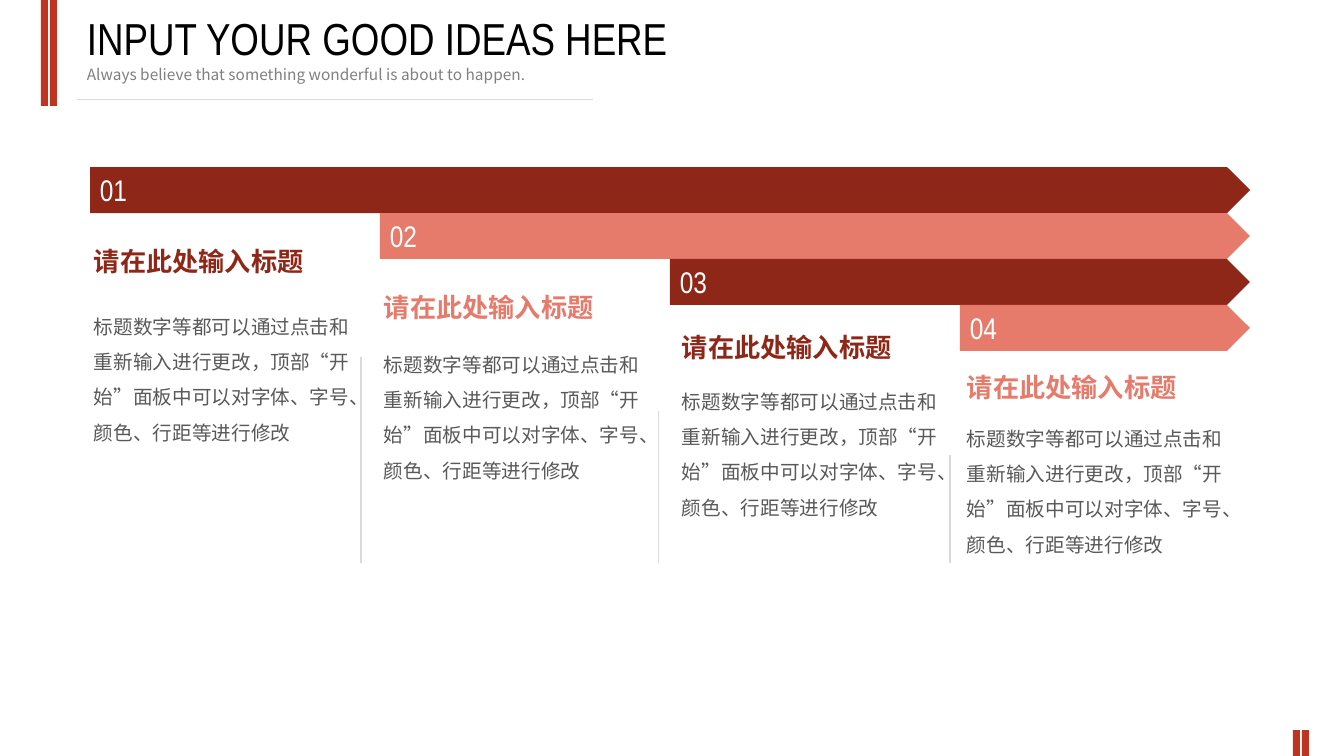
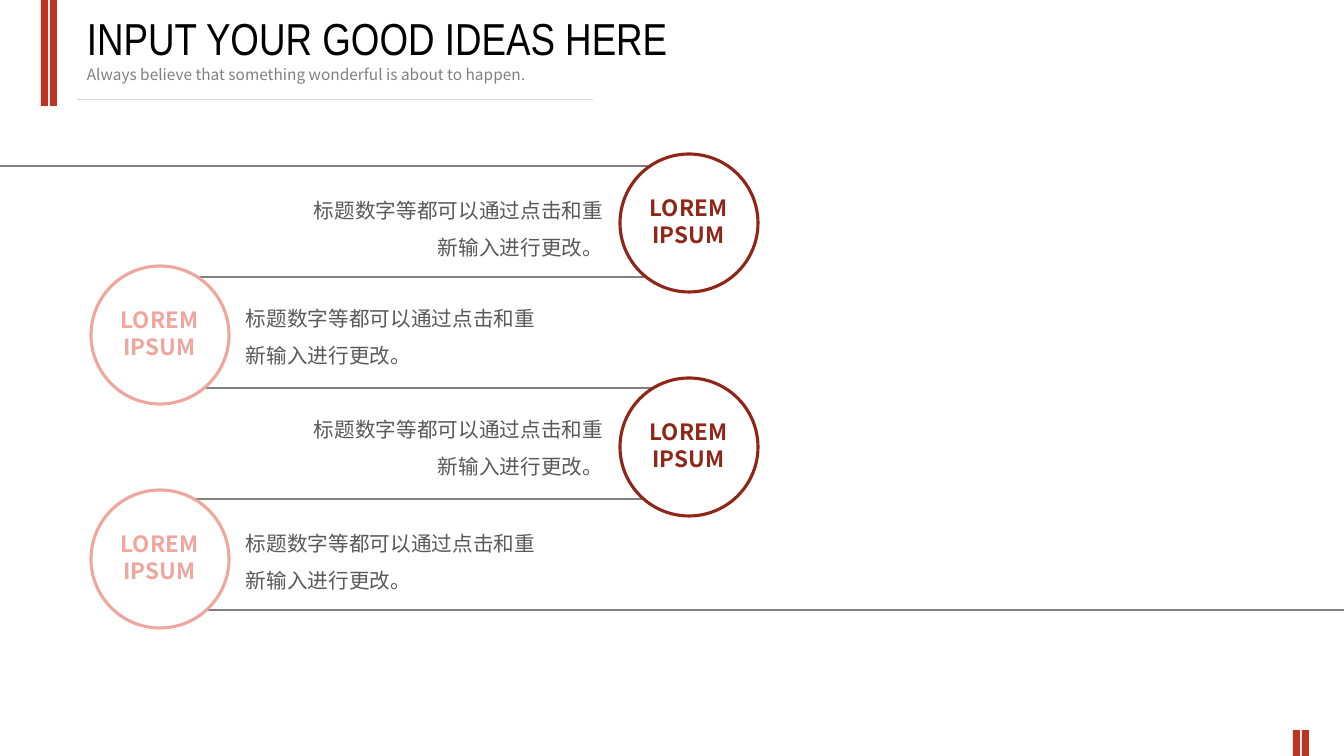
"""Build two slides: four stepped arrows and four staggered circles."""
import pptx
import pptx.dml.color
import pptx.enum.shapes
import pptx.enum.text
import pptx.oxml.ns
import pptx.util
from lxml import etree

PX = 12192000 // 1344
WIDTH, HEIGHT = 1344, 756
COLORS = {
    "band": "BF3420", "dark": "8F2718", "coral": "E67B6C", "pink": "EFA79D",
    "hairline": "D9D9D9", "gray": "808080", "body": "595959",
    "title": "000000", "white": "FFFFFF",
}
SANS, NARROW = "Noto Sans CJK SC", "Arial Narrow"
SHAPE = pptx.enum.shapes.MSO_SHAPE
ALIGN = pptx.enum.text.PP_ALIGN
ANCHOR = pptx.enum.text.MSO_ANCHOR
RGB = pptx.dml.color.RGBColor.from_string
qn = pptx.oxml.ns.qn


def place(slide, kind, box, fill=None, line=None):
    """Add a preset shape, or a text box when kind is None."""
    bounds = [PX * length for length in box]
    if kind is None:
        return slide.shapes.add_textbox(*bounds)
    shape = slide.shapes.add_shape(kind, *bounds)
    shape.shadow.inherit = False
    shape.fill.solid()
    shape.fill.fore_color.rgb = RGB(COLORS[fill])
    if line:
        shape.line.color.rgb = RGB(COLORS[line])
        shape.line.width = pptx.util.Pt(2.25)
    else:
        shape.line.fill.background()
    return shape


def write(shape, lines, size, color, font=SANS, bold=False,
          align=ALIGN.LEFT, spacing=None, anchor=ANCHOR.TOP):
    """Fill a shape with one paragraph per line."""
    frame = shape.text_frame
    frame.word_wrap = True
    frame.vertical_anchor = anchor
    for index, line in enumerate(lines):
        paragraph = frame.add_paragraph() if index else frame.paragraphs[0]
        paragraph.alignment = align
        paragraph.line_spacing = spacing
        run = paragraph.add_run()
        run.text = line
        run.font.size = pptx.util.Pt(size)
        run.font.name = font
        run.font.bold = bold
        run.font.color.rgb = RGB(COLORS[color])
        etree.SubElement(run.font._element, qn("a:ea"), typeface=SANS)


deck = pptx.Presentation()
deck.slide_width, deck.slide_height = WIDTH * PX, HEIGHT * PX
arrows_slide, circles_slide = [
    deck.slides.add_slide(deck.slide_layouts[6]) for _ in range(2)]

column_rules = [("hairline", 0.75, x, top, x, 563)
                for x, top in [(361, 357), (659, 411), (950, 455)]]
row_ends = [(0, 686), (161, 686), (161, 686), (161, 686), (161, WIDTH)]
row_rules = [("gray", 1.5, left, 166 + 111 * row, right, 166 + 111 * row)
             for row, (left, right) in enumerate(row_ends)]
header_rule = ("hairline", 0.75, 77, 100, 593, 100)

for slide, rules in [(arrows_slide, column_rules), (circles_slide, row_rules)]:
    for band in [(41, 0, 7, 106), (50, 0, 7, 106),
                 (1293, 730, 7, 26), (1302, 730, 7, 26)]:
        place(slide, SHAPE.RECTANGLE, band, "band")
    for color, weight, *ends in [header_rule, *rules]:
        rule = slide.shapes.add_connector(
            pptx.enum.shapes.MSO_CONNECTOR.STRAIGHT, *[PX * end for end in ends])
        rule.line.color.rgb = RGB(COLORS[color])
        rule.line.width = pptx.util.Pt(weight)
        etree.SubElement(rule._element.spPr, qn("a:effectLst"))
    write(place(slide, None, (77, 60, 712, 29)),
          ["Always believe that something wonderful is about to happen."],
          11, "gray")
    write(place(slide, None, (77, 6, 874, 65)),
          ["INPUT YOUR GOOD IDEAS HERE"], 32, "title", NARROW)

STEP_TEXT = ("标题数字等都可以通过点击和重新输入进行更改，顶部“开始”面板中"
             "可以对字体、字号、颜色、行距等进行修改")
steps = [(84, 240, 298), (374, 286, 336), (672, 326, 373), (957, 366, 410)]
for index, (left, heading_top, text_top) in enumerate(steps):
    color = ("dark", "coral")[index % 2]
    arrow = place(arrows_slide, SHAPE.PENTAGON,
                  (90 + 290 * index, 167 + 46 * index, 1160 - 290 * index, 46),
                  color)
    write(arrow, [f"{index + 1:02}"], 21.3, "white", NARROW,
          anchor=ANCHOR.MIDDLE)
    write(place(arrows_slide, None, (left, text_top, 278, 148)),
          [STEP_TEXT], 14, "body", spacing=1.5)
    write(place(arrows_slide, None, (left, heading_top, 278, 42)),
          ["请在此处输入标题"], 18.7, color, "Arial", bold=True)

sides = [("dark", 620, 290, ALIGN.RIGHT), ("pink", 91, 236, ALIGN.LEFT)]
for index, text_top in enumerate([181, 289, 400, 514]):
    color, left, text_left, align = sides[index % 2]
    top = 154 + 112 * index
    place(circles_slide, SHAPE.OVAL, (left, top, 138, 138), "white", color)
    write(place(circles_slide, None, (left + 17, top + 35, 103, 64)),
          ["LOREM", "IPSUM"], 16, color, bold=True, align=ALIGN.CENTER)
    write(place(circles_slide, None, (text_left, text_top, 323, 81)),
          ["标题数字等都可以通过点击和重新输入进行更改。"], 14.7, "body",
          align=align, spacing=1.5)

deck.save("out.pptx")
